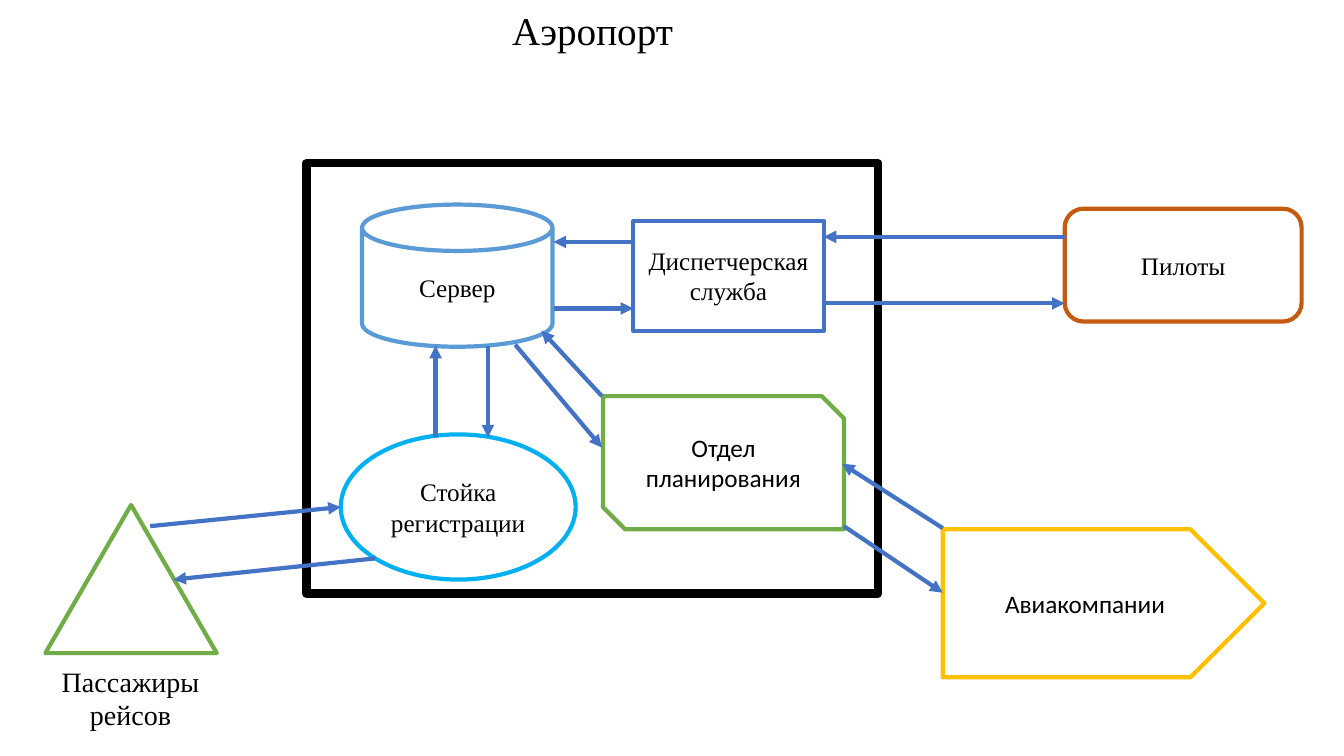
"""Draws the data flow diagram of an airport and its outside parties."""
from dataclasses import dataclass

import pptx
import pptx.dml.color
import pptx.enum.shapes
import pptx.enum.text
import pptx.oxml.ns
import pptx.presentation
import pptx.slide
import pptx.text.text
import pptx.util
from lxml import etree

Inches = pptx.util.Inches
Kind = pptx.enum.shapes.MSO_SHAPE
Align = pptx.enum.text.PP_ALIGN
SERIF = "Times New Roman"
SANS = "Calibri"
COLORS = {
    "white": "FFFFFF",
    "black": "000000",
    "green": "70AD47",
    "cyan": "00B0F0",
    "rust": "C55A11",
    "blue": "4472C4",
    "sky": "5B9BD5",
    "gold": "FFC000",
}


@dataclass(frozen=True)
class Party:
    """A participant or boundary of the diagram."""
    kind: Kind
    box: tuple[float, float, float, float]
    outline: str
    label: str = ""
    font: str = SERIF
    weight: float = 3
    adjustment: float | None = None


@dataclass(frozen=True)
class Flow:
    """An arrow that carries data from start to end."""
    start: tuple[float, float]
    end: tuple[float, float]


PARTIES = [
    Party(Kind.RECTANGLE, (3.04, 1.62, 5.67, 4.27), "black", weight=6),
    Party(Kind.ISOSCELES_TRIANGLE, (0.45, 5.01, 1.7, 1.47), "green"),
    Party(Kind.OVAL, (3.38, 4.31, 2.33, 1.44), "cyan", "Стойка\nрегистрации"),
    Party(Kind.ROUNDED_RECTANGLE, (10.56, 2.07, 2.35, 1.12), "rust", "Пилоты"),
    Party(Kind.RECTANGLE, (6.28, 2.19, 1.89, 1.09), "blue", "Диспетчерская служба"),
    Party(Kind.CAN, (3.59, 2.03, 1.89, 1.41), "sky", "Сервер", adjustment=0.326),
    Party(Kind.SNIP_2_DIAG_RECTANGLE, (5.98, 3.93, 2.39, 1.32), "green",
          "Отдел планирования", SANS),
    Party(Kind.PENTAGON, (9.35, 5.25, 3.19, 1.47), "gold", "Авиакомпании", SANS),
]
FLOWS = [
    Flow((1.49, 5.22), (3.38, 5.03)),
    Flow((3.72, 5.54), (1.72, 5.75)),
    Flow((10.56, 2.35), (8.17, 2.35)),
    Flow((8.17, 3.01), (10.56, 3.01)),
    Flow((4.84, 3.43), (4.84, 4.34)),
    Flow((4.32, 4.34), (4.32, 3.43)),
    Flow((6.28, 2.4), (5.49, 2.4)),
    Flow((5.49, 3.06), (6.28, 3.06)),
    Flow((5.11, 3.42), (5.97, 4.44)),
    Flow((5.97, 3.93), (5.37, 3.28)),
    Flow((9.35, 5.24), (8.35, 4.6)),
    Flow((8.37, 5.22), (9.35, 5.88)),
]


def rgb(name: str) -> pptx.dml.color.RGBColor:
    """Return a named colour."""
    return pptx.dml.color.RGBColor.from_string(COLORS[name])


def write(frame: pptx.text.text.TextFrame, text: str, *, size: float = 18,
          font: str = SERIF, align: Align = Align.CENTER, wrap: bool = True) -> None:
    """Fill a frame with one paragraph for each line of text."""
    frame.word_wrap = wrap
    frame.text = text
    for paragraph in frame.paragraphs:
        paragraph.alignment = align
        paragraph.font.size = pptx.util.Pt(size)
        paragraph.font.name = font
        paragraph.font.color.rgb = rgb("black")


def draw_party(slide: pptx.slide.Slide, party: Party) -> None:
    """Draw an outlined white shape with its label."""
    shape = slide.shapes.add_shape(party.kind, *map(Inches, party.box))
    shape.shadow.inherit = False
    shape.fill.solid()
    shape.fill.fore_color.rgb = rgb("white")
    shape.line.color.rgb = rgb(party.outline)
    shape.line.width = pptx.util.Pt(party.weight)
    if party.adjustment is not None:
        shape.adjustments[0] = party.adjustment
    if party.label:
        shape.text_frame.vertical_anchor = pptx.enum.text.MSO_ANCHOR.MIDDLE
        write(shape.text_frame, party.label, font=party.font)


def draw_flow(slide: pptx.slide.Slide, flow: Flow) -> None:
    """Draw a straight arrow."""
    arrow = slide.shapes.add_connector(
        pptx.enum.shapes.MSO_CONNECTOR.STRAIGHT, *map(Inches, flow.start + flow.end))
    arrow.line.color.rgb = rgb("blue")
    arrow.line.width = pptx.util.Pt(3)
    qn = pptx.oxml.ns.qn
    etree.SubElement(arrow.line._get_or_add_ln(), qn("a:tailEnd"), type="triangle")
    etree.SubElement(arrow._element.spPr, qn("a:effectLst"))


def main() -> None:
    """Build and save the slide."""
    deck = pptx.Presentation()
    deck.slide_width, deck.slide_height = Inches(13.33), Inches(7.5)
    slide = deck.slides.add_slide(deck.slide_layouts[6])
    for party in PARTIES:
        draw_party(slide, party)
    for flow in FLOWS:
        draw_flow(slide, flow)
    title = slide.shapes.add_textbox(*map(Inches, (4.98, 0.01, 1.82, 0.57)))
    write(title.text_frame, "Аэропорт", size=28, align=Align.LEFT, wrap=False)
    passengers = slide.shapes.add_textbox(*map(Inches, (0.49, 6.54, 1.61, 0.77)))
    write(passengers.text_frame, "Пассажиры рейсов", size=20)
    deck.save("out.pptx")


if __name__ == "__main__":
    main()
